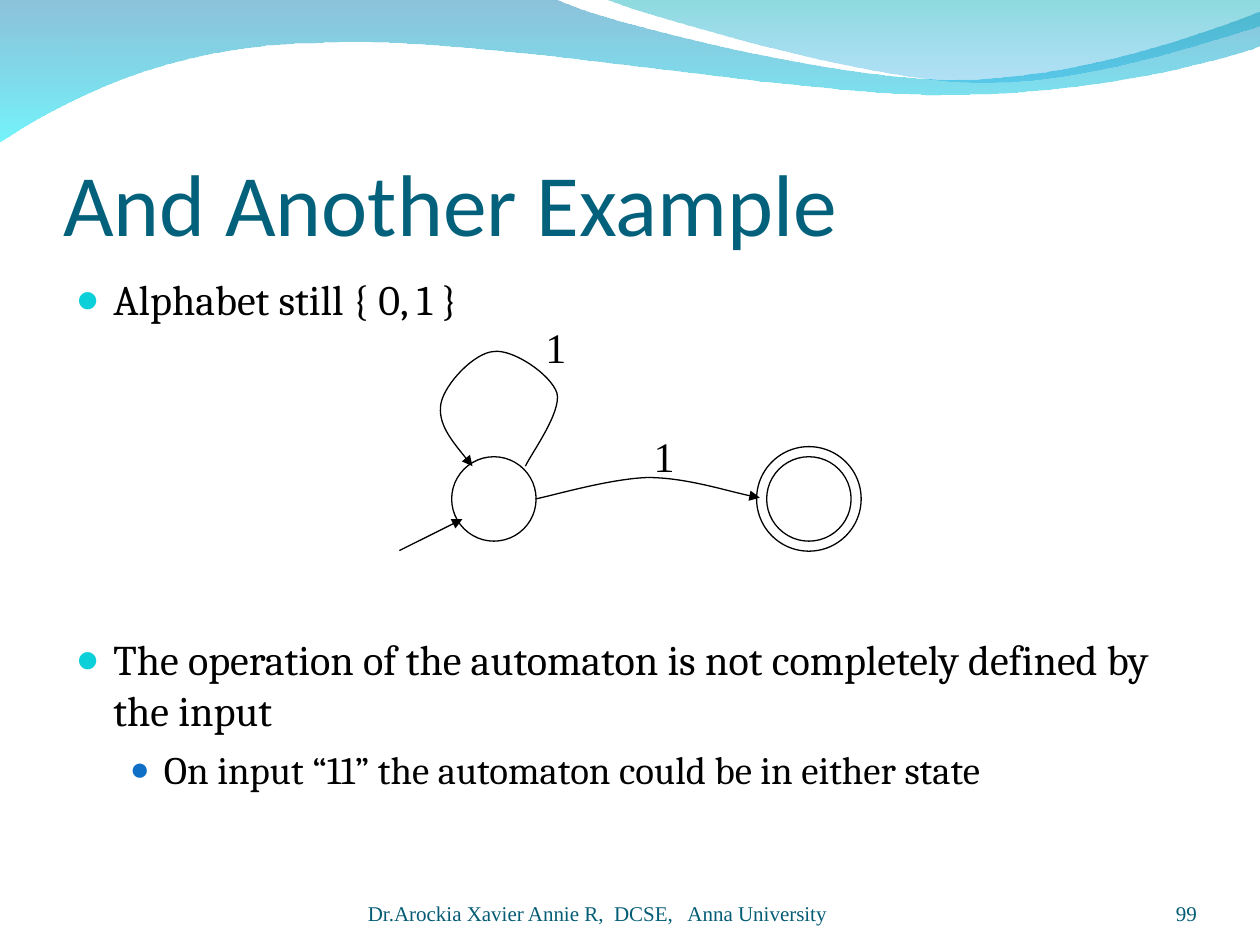
"""Build a slide on a nondeterministic automaton with a two-state diagram."""
from dataclasses import dataclass

from lxml import etree
from pptx import Presentation
from pptx.dml.color import RGBColor
from pptx.enum.shapes import MSO_CONNECTOR, MSO_SHAPE
from pptx.enum.text import MSO_ANCHOR, MSO_AUTO_SIZE, PP_ALIGN
from pptx.oxml.ns import qn
from pptx.util import Inches, Pt

OVAL = MSO_SHAPE.OVAL
STRAIGHT = MSO_CONNECTOR.STRAIGHT
TOP, BOTTOM = MSO_ANCHOR.TOP, MSO_ANCHOR.BOTTOM
LEFT, RIGHT = PP_ALIGN.LEFT, PP_ALIGN.RIGHT
NO_FIT = MSO_AUTO_SIZE.NONE


@dataclass(frozen=True)
class Theme:
    title_color: str = "04617B"
    footer_color: str = "045C75"
    ink: str = "000000"
    bullet_colors: tuple = ("0BD0D9", "0F6FC6")
    title_font: str = "Calibri"
    body_font: str = "Cambria"
    label_font: str = "Times New Roman"
    title_size: float = 50
    body_sizes: tuple = (24.1, 22.2)
    label_size: float = 24
    footer_size: float = 12
    line_width: float = 0.75


theme = Theme()


def add_curve(page, start, segments, close=False):
    """Draw a path whose segments are one point (line) or three (Bezier)."""
    points = [(Inches(x), Inches(y)) for segment in segments for x, y in segment]
    builder = page.shapes.build_freeform(Inches(start[0]), Inches(start[1]))
    builder.add_line_segments(points, close=close)
    shape = builder.convert_to_shape()
    shape.shadow.inherit = False
    steps = iter(shape._element.xpath(".//a:path/a:lnTo"))
    for segment in segments:
        first = next(steps)
        if len(segment) == 3:
            first.tag = qn("a:cubicBezTo")
            for step in (next(steps), next(steps)):
                first.append(step[0])
                step.getparent().remove(step)
    return shape


def style_text(box, font, size, color, anchor=TOP, align=LEFT, insets=(0, 0, 0, 0)):
    """Format a text box and all its paragraphs."""
    frame = box.text_frame
    frame.auto_size = NO_FIT
    frame.vertical_anchor = anchor
    (frame.margin_left, frame.margin_top,
     frame.margin_right, frame.margin_bottom) = map(Inches, insets)
    for paragraph in frame.paragraphs:
        paragraph.alignment = align
        paragraph.font.name = font
        paragraph.font.size = Pt(size)
        paragraph.font.color.rgb = RGBColor.from_string(color)


deck = Presentation()
deck.slide_width, deck.slide_height = Inches(10), Inches(7.5)
page = deck.slides.add_slide(deck.slide_layouts[1])
title, body = page.placeholders

waves = [
    ((0, -0.01),
     [[(4.4, -0.01)],
      [(4.76, 0.17), (6.64, 0.63), (7.58, 0.63)],
      [(8.53, 0.63), (9.58, 0.26), (10, 0.09)],
      [(10.01, 0.36)],
      [(9.83, 0.44), (8.7, 0.76), (7.46, 0.75)],
      [(6.22, 0.75), (3.82, 0.28), (2.57, 0.34)],
      [(1.29, 0.35), (0.46, 0.83), (-0.01, 1.13)]],
     [("0079AF", 45), ("00EBF8", 55)]),
    ((4.79, -0.01),
     [[(5.09, 0.11), (6.82, 0.62), (7.69, 0.65)],
      [(8.56, 0.69), (9.61, 0.32), (10, 0.21)],
      [(10, 0)]],
     [("00ADB6", 45), ("009BE5", 30)]),
]
for start, segments, stops in waves:
    wave = add_curve(page, start, segments, close=True)
    wave.line.fill.background()
    wave.fill.gradient()
    wave.fill.gradient_angle = 270
    for stop, (color, opacity) in zip(wave.fill.gradient_stops, stops):
        stop.color.rgb = RGBColor.from_string(color)
    for element, (color, opacity) in zip(wave._element.xpath(".//a:gs/a:srgbClr"), stops):
        etree.SubElement(element, qn("a:alpha"), val=str(opacity * 1000))

for placeholder in (title, body):
    page.shapes._spTree.append(placeholder._element)

title.left, title.top, title.width, title.height = map(Inches, (0.5, 0.77, 9, 1.25))
title.text_frame.text = "And Another Example"
style_text(title, theme.title_font, theme.title_size, theme.title_color,
           BOTTOM, insets=(0, 0.05, 0, 0))

body.left, body.top, body.width, body.height = map(Inches, (0.5, 2.12, 9, 4.8))
bullets = [
    ("Alphabet still { 0, 1 }", 0, 0),
    ("The operation of the automaton is not completely defined by the input", 0, 177),
    ("On input “11” the automaton could be in either state", 1, 6),
]
body.text_frame.text = "\n".join(text for text, level, gap in bullets)
for paragraph, (text, level, gap) in zip(body.text_frame.paragraphs, bullets):
    paragraph.level = level
    paragraph.space_before = Pt(gap)
    properties = paragraph._p.get_or_add_pPr()
    properties.set("marL", str(Inches((0.3, 0.7)[level])))
    properties.set("indent", str(Inches((-0.3, -0.27)[level])))
    bullet_color = etree.SubElement(properties, qn("a:buClr"))
    etree.SubElement(bullet_color, qn("a:srgbClr"), val=theme.bullet_colors[level])
    etree.SubElement(properties, qn("a:buSzPct"), val=("95000", "85000")[level])
    etree.SubElement(properties, qn("a:buChar"), char="●")
style_text(body, theme.body_font, theme.body_sizes[0], theme.ink,
           insets=(0.1, 0.05, 0.1, 0.05))
for paragraph in body.text_frame.paragraphs:
    paragraph.font.size = Pt(theme.body_sizes[paragraph.level])

states = []
for center_x, diameter in ((6.42, 0.67), (6.42, 0.83), (3.92, 0.67)):
    states.append(page.shapes.add_shape(
        OVAL, Inches(center_x - diameter / 2), Inches(3.96 - diameter / 2),
        Inches(diameter), Inches(diameter)))
    states[-1].shadow.inherit = False

step_arrow = add_curve(page, (4.25, 3.96), [
    [(4.4, 3.93), (4.84, 3.8), (5.14, 3.79)],
    [(5.44, 3.79), (5.84, 3.92), (6.03, 3.95)]])
loop_arrow = add_curve(page, (4.17, 3.7), [
    [(4.21, 3.61), (4.46, 3.27), (4.42, 3.12)],
    [(4.37, 2.97), (4.07, 2.77), (3.92, 2.79)],
    [(3.76, 2.8), (3.53, 3.05), (3.5, 3.2)],
    [(3.47, 3.36), (3.61, 3.53), (3.75, 3.7)]])
start_arrow = page.shapes.add_connector(
    STRAIGHT, Inches(3.17), Inches(4.37), Inches(3.67), Inches(4.12))
etree.SubElement(start_arrow._element.spPr, qn("a:effectLst"))

arrows = [step_arrow, loop_arrow, start_arrow]
for shape in states + [step_arrow, loop_arrow]:
    shape.fill.background()
for shape in states + arrows:
    shape.line.color.rgb = RGBColor.from_string(theme.ink)
    shape.line.width = Pt(theme.line_width)
for arrow in arrows:
    outline = arrow._element.spPr.find(qn("a:ln"))
    etree.SubElement(outline, qn("a:tailEnd"), type="triangle")

for left, top in ((5.09, 3.37), (4.23, 2.5)):
    label = page.shapes.add_textbox(Inches(left), Inches(top), Inches(0.36), Inches(0.5))
    label.text_frame.text = "1"
    style_text(label, theme.label_font, theme.label_size, theme.ink,
               insets=(0.1, 0.05, 0.1, 0.05))

footers = [
    ("Dr.Arockia Xavier Annie R,  DCSE,   Anna University", 2.92, 3.67, LEFT),
    ("99", 8.67, 0.83, RIGHT),
]
for text, left, width, align in footers:
    footer = page.shapes.add_textbox(Inches(left), Inches(6.95), Inches(width), Inches(0.4))
    footer.text_frame.text = text
    footer.text_frame.word_wrap = True
    style_text(footer, theme.label_font, theme.footer_size, theme.footer_color, BOTTOM, align)

deck.save("out.pptx")
